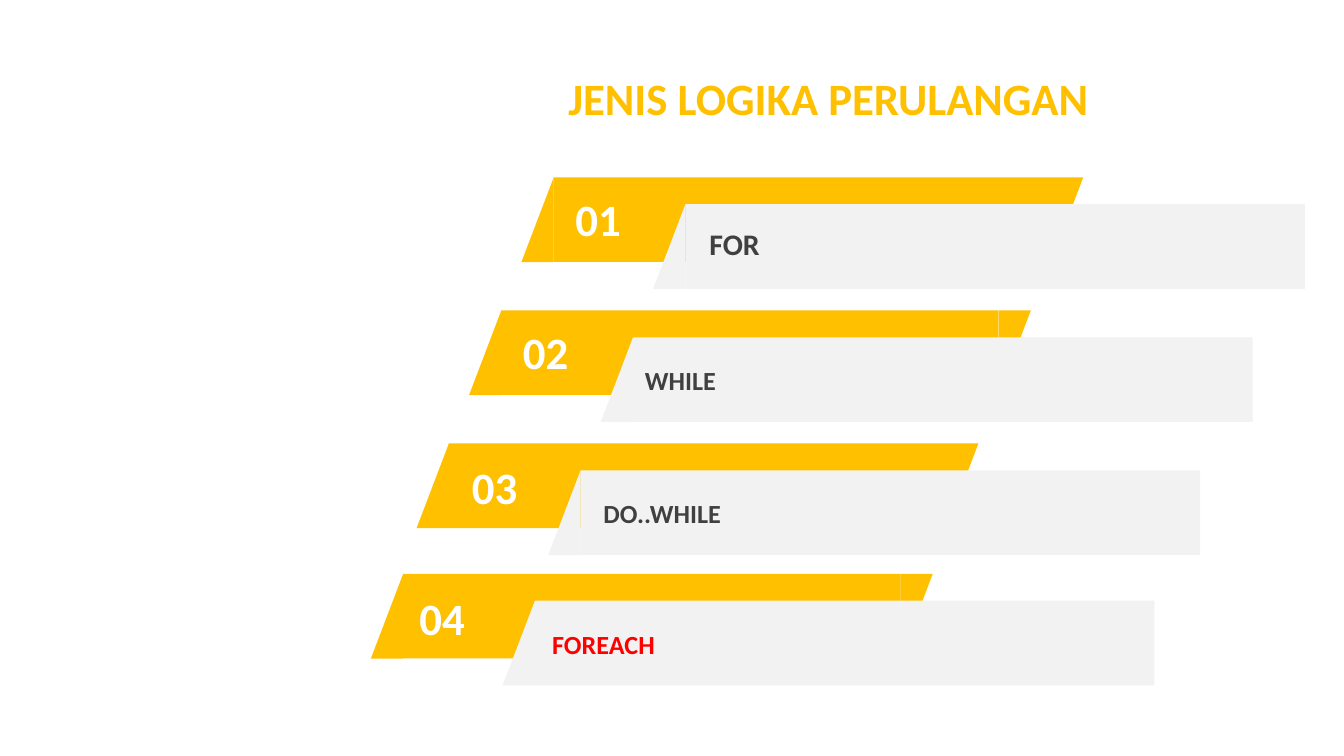
"""Builds a slide listing four kinds of loops as stepped slanted banners."""
from dataclasses import dataclass

from pptx import Presentation
from pptx.dml.color import RGBColor
from pptx.enum.shapes import MSO_SHAPE as Preset
from pptx.enum.text import MSO_ANCHOR as Anchor, PP_ALIGN as Align
from pptx.shapes.autoshape import Shape
from pptx.shapes.shapetree import GroupShapes, SlideShapes
from pptx.util import Inches, Pt

GOLD, PALE, WHITE, DARK, RED = "FFC000", "F2F2F2", "FFFFFF", "404040", "FF0000"
BAR_HEIGHT, SLANT = 0.63, 0.24
GOLD_WIDTH, PALE_WIDTH = 3.7, 4.61
PALE_SHIFT, PALE_DROP = 0.98, 0.2


@dataclass
class Banner:
    left: float
    top: float
    number_left: float
    number_top: float
    label: str
    label_left: float
    label_top: float
    label_width: float = PALE_WIDTH
    label_height: float = 0.33
    label_size: int = 14
    label_colour: str = DARK


BANNERS = [
    Banner(4.12, 1.32, 4.12, 1.38, "FOR", 5.18, 1.63, 4.06, 0.36, 16),
    Banner(3.73, 2.31, 3.73, 2.37, "WHILE", 4.7, 2.66),
    Banner(3.34, 3.3, 3.35, 3.37, "DO..WHILE", 4.39, 3.65),
    Banner(3, 4.27, 2.96, 4.35, "FOREACH", 4.01, 4.63, label_colour=RED),
]


def colour(value: str) -> RGBColor:
    return RGBColor.from_string(value)


def add_solid(shapes: GroupShapes, preset: Preset, left: float, top: float,
              width: float, height: float, fill: str) -> Shape:
    shape = shapes.add_shape(preset, Inches(left), Inches(top), Inches(width), Inches(height))
    shape.shadow.inherit = False
    shape.fill.solid()
    shape.fill.fore_color.rgb = colour(fill)
    shape.line.fill.background()
    return shape


def add_slant(shapes: GroupShapes, left: float, top: float, rotation: int, fill: str) -> None:
    inset = (BAR_HEIGHT - SLANT) / 2
    wedge = add_solid(shapes, Preset.ISOSCELES_TRIANGLE, left - inset, top + inset,
                      BAR_HEIGHT, SLANT, fill)
    wedge.adjustments[0] = 0
    wedge.rotation = rotation


def add_bar(shapes: GroupShapes, left: float, top: float, width: float, fill: str) -> None:
    add_solid(shapes, Preset.RECTANGLE, left, top, width, BAR_HEIGHT, fill)
    add_slant(shapes, left - SLANT, top, 270, fill)


def add_text(shapes: SlideShapes, text: str, left: float, top: float, width: float,
             height: float, size: int, fill: str, align: Align = Align.LEFT,
             anchor: Anchor = Anchor.TOP) -> None:
    box = shapes.add_textbox(Inches(left), Inches(top), Inches(width), Inches(height))
    frame = box.text_frame
    frame.word_wrap = True
    frame.vertical_anchor = anchor
    frame.text = text
    para = frame.paragraphs[0]
    para.alignment = align
    font = para.runs[0].font
    font.name, font.size, font.bold = "Calibri", Pt(size), True
    font.color.rgb = colour(fill)


def add_banner(shapes: SlideShapes, number: int, banner: Banner) -> None:
    group = shapes.add_group_shape().shapes
    add_bar(group, banner.left, banner.top, GOLD_WIDTH, GOLD)
    add_slant(group, banner.left + GOLD_WIDTH, banner.top, 90, GOLD)
    add_bar(group, banner.left + PALE_SHIFT, banner.top + PALE_DROP, PALE_WIDTH, PALE)
    add_text(shapes, f"{number:02}", banner.number_left, banner.number_top, 0.66, 0.5,
             24, WHITE, Align.CENTER)
    add_text(shapes, banner.label, banner.label_left, banner.label_top, banner.label_width,
             banner.label_height, banner.label_size, banner.label_colour)


def main() -> None:
    deck = Presentation()
    deck.slide_width = Inches(10)
    deck.slide_height = Inches(10 * 9 / 16)
    page = deck.slides.add_slide(deck.slide_layouts[6])
    add_text(page.shapes, "JENIS LOGIKA PERULANGAN", 4.13, 0.41, 5.59, 0.63, 24, GOLD,
             anchor=Anchor.MIDDLE)
    for number, banner in enumerate(BANNERS, start=1):
        add_banner(page.shapes, number, banner)
    deck.save("out.pptx")


if __name__ == "__main__":
    main()
